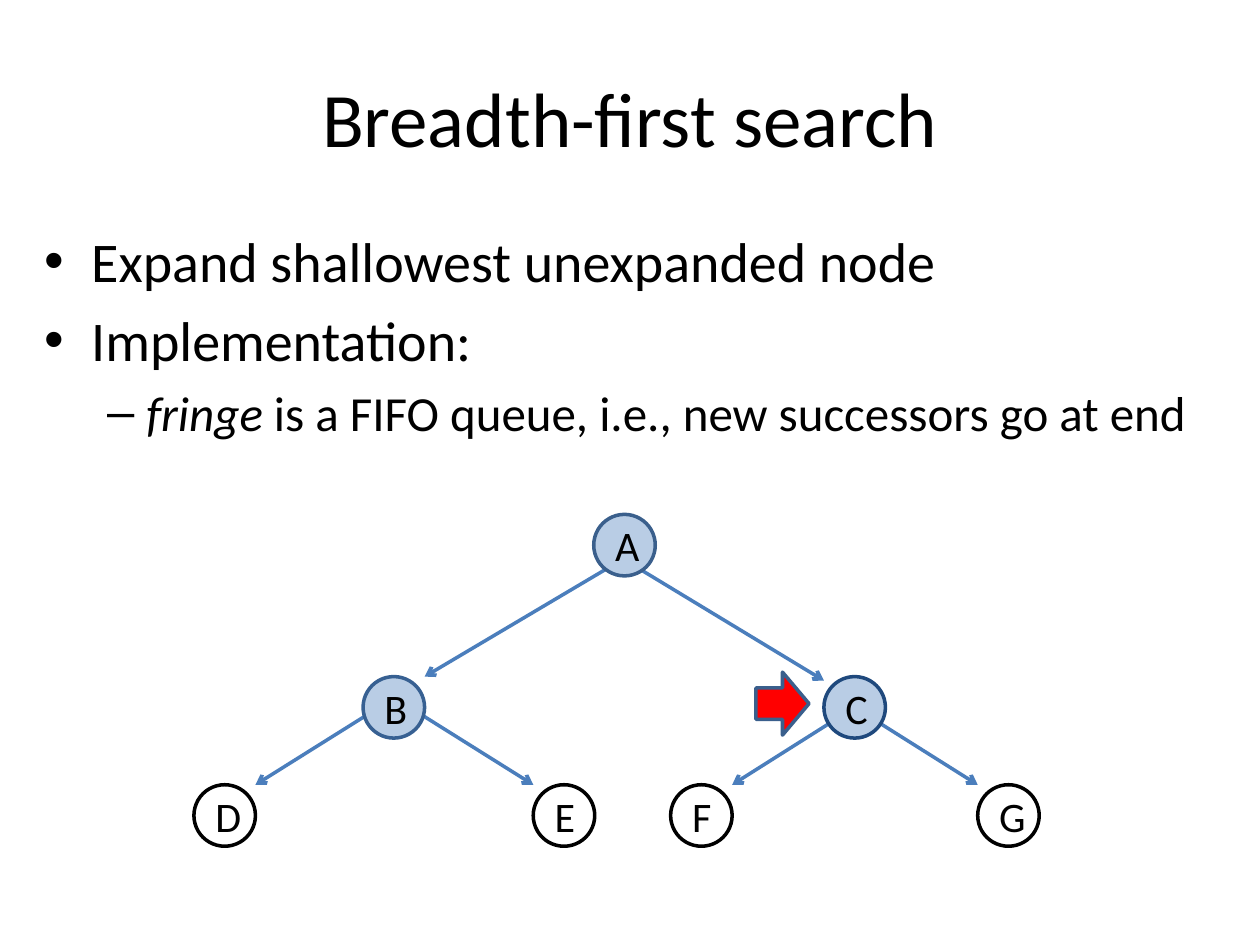
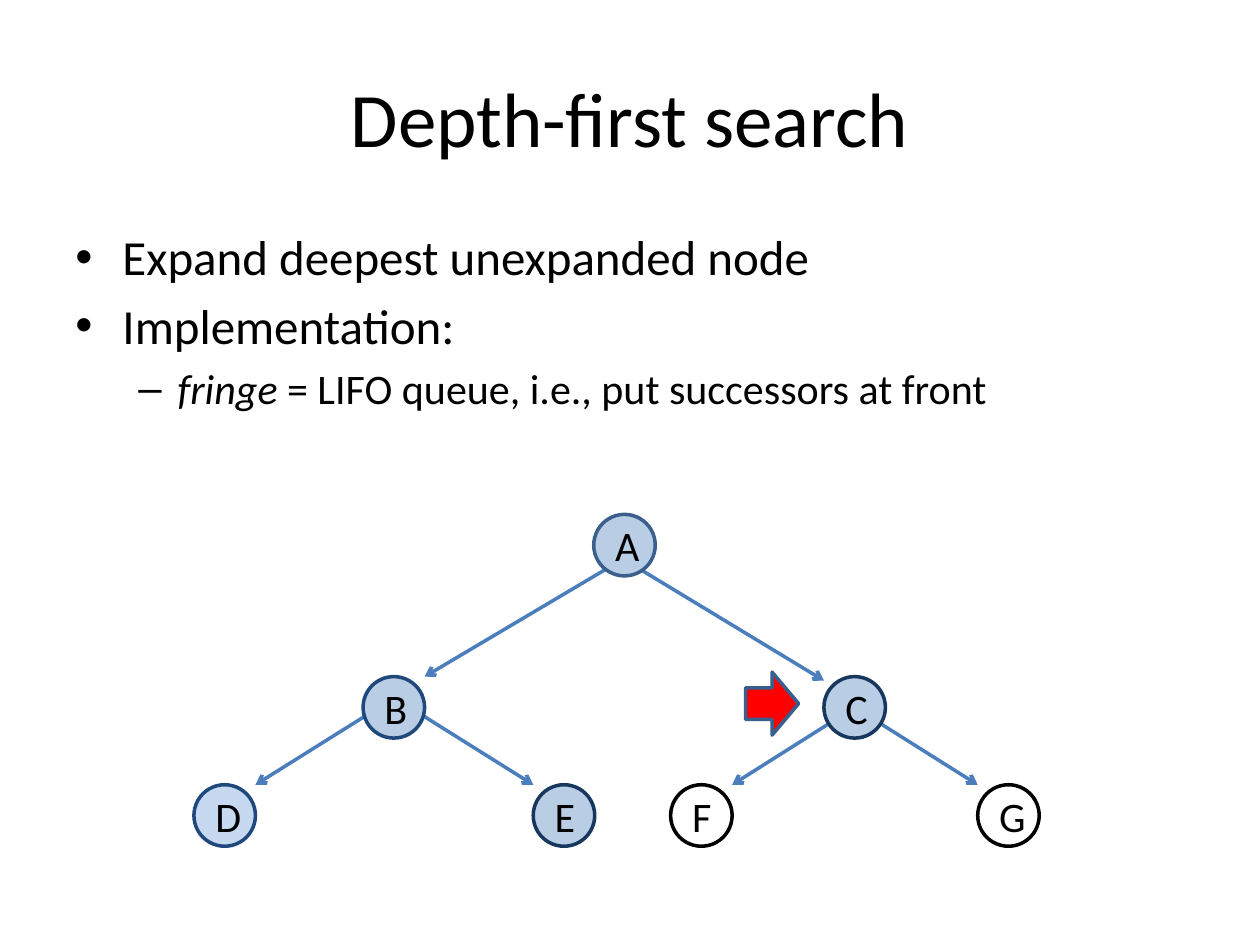
from dataclasses import dataclass
from pptx import Presentation
from pptx.dml.color import RGBColor
from pptx.enum.shapes import MSO_CONNECTOR, MSO_SHAPE
from pptx.enum.text import MSO_ANCHOR, PP_ALIGN
from pptx.oxml.ns import qn
from pptx.util import Cm, Pt
from lxml.etree import SubElement


@dataclass(frozen=True)
class Theme:
    font: str = "Calibri"
    bullet_font: str = "Arial"
    text: str = "000000"
    edge: str = "4B7EBC"
    outline: str = "3A5F8C"
    blue: str = "376092"
    navy: str = "1F497D"
    deep: str = "17375E"
    visited: str = "B9CDE5"
    pale: str = "C6D9F1"
    unvisited: str = "FFFFFF"
    marker: str = "FF0000"
    title_size: int = 44
    node_size: int = 24
    line_width: int = 2


T = Theme()


def add_run(p, text, size, italic=False):
    r = p.add_run()
    r.text = text
    fmt = {"name": T.font, "size": Pt(size), "italic": italic}
    for k, v in fmt.items():
        setattr(r.font, k, v)
    r.font.color.rgb = RGBColor.from_string(T.text)


def paint(sp, fill, line):
    sp.shadow.inherit = False
    sp.fill.solid()
    sp.fill.fore_color.rgb = RGBColor.from_string(fill)
    sp.line.color.rgb = RGBColor.from_string(line)
    sp.line.width = Pt(T.line_width)


RADIUS = 0.62
NODES = {
    "A": (12.59, 10.99),
    "B": (7.94, 14.26),
    "C": (17.23, 14.26),
    "D": (4.53, 16.44),
    "E": (11.37, 16.44),
    "F": (14.14, 16.44),
    "G": (20.33, 16.44),
}
EDGES = [
    ("A", "B", -0.3, 0.44, 0),
    ("A", "C", 0.32, 0.49, 0.08),
    ("B", "D", -0.3, 0, 0),
    ("B", "E", 0.32, 0, 0),
    ("C", "F", 0, 0, 0),
    ("C", "G", 0, 0, 0),
]
OPEN_NODE = (T.unvisited, T.text)
SLIDES = [
    {
        "title": "Breadth-first search",
        "body": (0.64, 24.13),
        "size": 32,
        "goal": "Expand shallowest unexpanded node",
        "rule": ("fringe", " is a FIFO queue, i.e., new successors go at end"),
        "marker": 15.24,
        "nodes": {
            "A": (T.visited, T.outline),
            "B": (T.visited, T.blue),
            "C": (T.visited, T.navy),
        },
    },
    {
        "title": "Depth-first search",
        "body": (1.27, 22.86),
        "size": 28,
        "goal": "Expand deepest unexpanded node",
        "rule": ("fringe ", "= LIFO queue, i.e., put successors at front"),
        "marker": 15.03,
        "nodes": {
            "A": (T.visited, T.outline),
            "B": (T.visited, T.navy),
            "C": (T.visited, T.deep),
            "D": (T.pale, T.navy),
            "E": (T.visited, T.deep),
        },
    },
]

prs = Presentation()
prs.slide_width, prs.slide_height = Cm(25.4), Cm(19.05)

for d in SLIDES:
    s = prs.slides.add_slide(prs.slide_layouts[6])

    tf = s.shapes.add_textbox(Cm(1.27), Cm(0.76), Cm(22.86), Cm(3.18)).text_frame
    for k, v in {"word_wrap": True, "vertical_anchor": MSO_ANCHOR.MIDDLE}.items():
        setattr(tf, k, v)
    p = tf.paragraphs[0]
    p.alignment = PP_ALIGN.CENTER
    add_run(p, d["title"], T.title_size)

    left, width = d["body"]
    tf = s.shapes.add_textbox(Cm(left), Cm(4.45), Cm(width), Cm(12.57)).text_frame
    tf.word_wrap = True
    size = d["size"]
    bullets = [
        (0, size, 0.95, 0.95, "•", [(d["goal"], False)]),
        (0, size, 0.95, 0.95, "•", [("Implementation:", False)]),
        (1, size - 4, 2.06, 0.79, "–", [(d["rule"][0], True), (d["rule"][1], False)]),
    ]
    for i, (level, pts, margin, hang, mark, runs) in enumerate(bullets):
        p = tf.add_paragraph() if i else tf.paragraphs[0]
        for k, v in {"level": level, "space_before": Pt(pts * 0.2)}.items():
            setattr(p, k, v)
        pPr = p._p.get_or_add_pPr()
        pPr.set("marL", str(Cm(margin)))
        pPr.set("indent", str(-Cm(hang)))
        SubElement(pPr, qn("a:buFont"), typeface=T.bullet_font)
        SubElement(pPr, qn("a:buChar"), char=mark)
        for text, italic in runs:
            add_run(p, text, pts, italic)

    tree = s.shapes.add_group_shape().shapes
    for parent, child, dx, dy, drop in EDGES:
        (px, py), (cx, cy) = NODES[parent], NODES[child]
        side = 1 if cx > px else -1
        c = tree.add_connector(
            MSO_CONNECTOR.STRAIGHT,
            Cm(px + dx), Cm(py + dy),
            Cm(cx - side * RADIUS), Cm(cy - RADIUS + drop),
        )
        c.line.color.rgb = RGBColor.from_string(T.edge)
        c.line.width = Pt(T.line_width)
        spPr = c._element.spPr
        SubElement(spPr.find(qn("a:ln")), qn("a:tailEnd"), type="arrow")
        SubElement(spPr, qn("a:effectLst"))

    for name, (x, y) in NODES.items():
        sp = tree.add_shape(
            MSO_SHAPE.OVAL, Cm(x - RADIUS), Cm(y - RADIUS), Cm(2 * RADIUS), Cm(2 * RADIUS)
        )
        paint(sp, *d["nodes"].get(name, OPEN_NODE))
        tf = sp.text_frame
        tf.vertical_anchor = MSO_ANCHOR.MIDDLE
        p = tf.paragraphs[0]
        p.alignment = PP_ALIGN.CENTER
        add_run(p, name, T.node_size)

    sp = s.shapes.add_shape(MSO_SHAPE.RIGHT_ARROW, Cm(d["marker"]), Cm(13.55), Cm(1.07), Cm(1.27))
    paint(sp, T.marker, T.outline)

prs.save("out.pptx")
